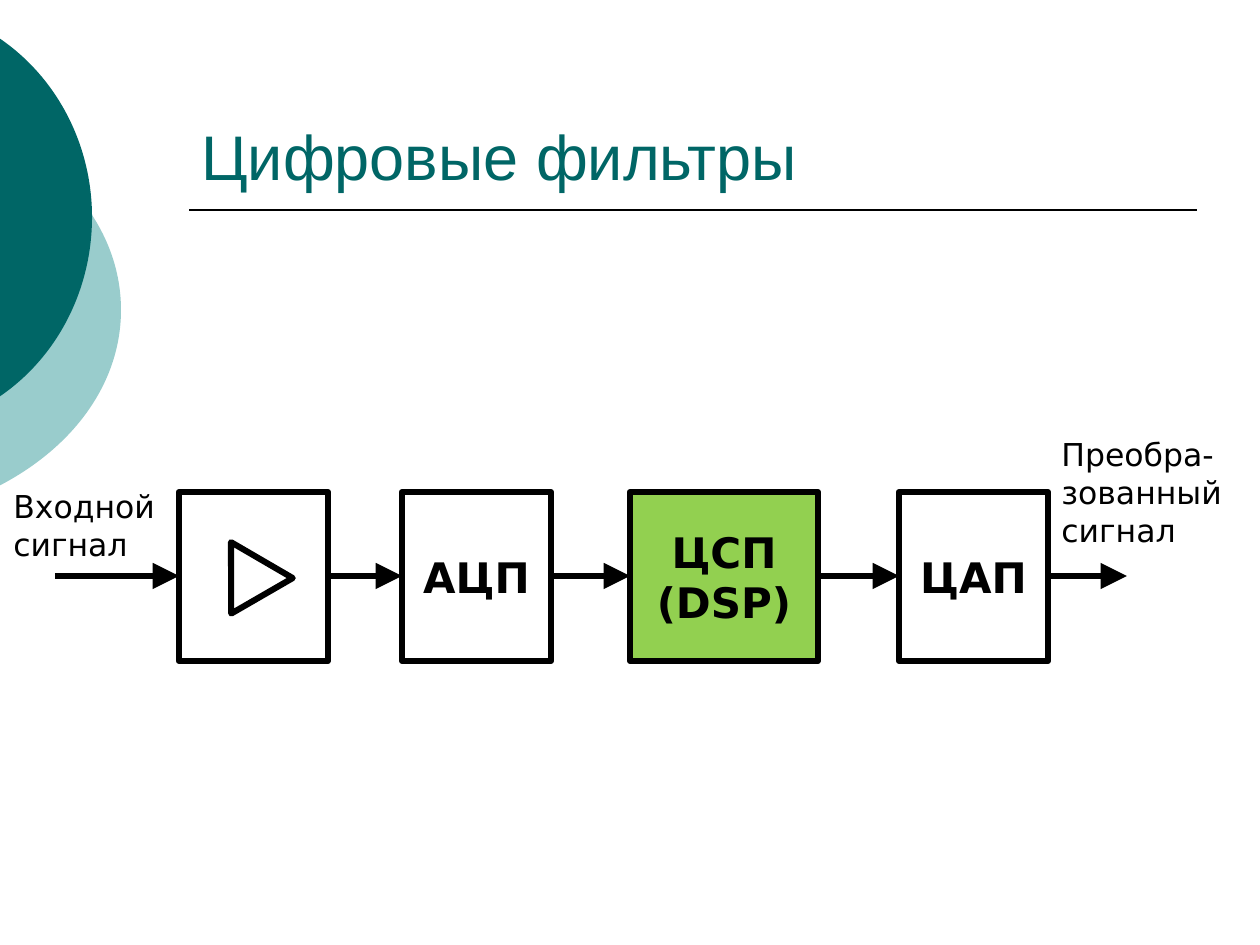
from dataclasses import dataclass
from itertools import pairwise

from lxml import etree
from pptx import Presentation
from pptx.dml.color import RGBColor
from pptx.enum.shapes import MSO_CONNECTOR, MSO_SHAPE
from pptx.enum.text import MSO_ANCHOR, PP_ALIGN
from pptx.oxml.ns import qn
from pptx.util import Emu, Pt

RECTANGLE = MSO_SHAPE.RECTANGLE
TRIANGLE = MSO_SHAPE.ISOSCELES_TRIANGLE
STRAIGHT = MSO_CONNECTOR.STRAIGHT
TOP, MIDDLE, BOTTOM = MSO_ANCHOR.TOP, MSO_ANCHOR.MIDDLE, MSO_ANCHOR.BOTTOM
LEFT, CENTER = PP_ALIGN.LEFT, PP_ALIGN.CENTER

EMU_PER_PX = 914400 / 126
COLORS = {"teal": "006666", "pale": "99CCCC", "green": "92D050", "black": "000000"}
BLOCK_TOP, BLOCK_HEIGHT, SIGNAL_Y = 492, 169, 576
INPUT_X, OUTPUT_X = 55, 1127


@dataclass
class Disc:
    color: str
    left: int
    top: int
    width: int
    height: int
    arc: list[tuple[int, int]]


@dataclass
class Block:
    left: int
    width: int
    text: str = ""
    fill: str = ""


@dataclass
class Label:
    left: int
    top: int
    width: int
    height: int
    text: str
    size: int
    font: str
    color: str = "black"
    anchor: MSO_ANCHOR = TOP


DISCS = [
    Disc("pale", -446, 94, 567, 431,
         [(-1, 134), (76, 174), (121, 239), (121, 310),
          (121, 381), (76, 446), (-1, 486)]),
    Disc("teal", -334, 0, 426, 435,
         [(-1, 38), (58, 78), (92, 146), (92, 217),
          (92, 289), (58, 357), (-1, 397)]),
]
BLOCKS = [
    Block(179, 149),
    Block(402, 149, "АЦП"),
    Block(630, 188, "ЦСП\n(DSP)", "green"),
    Block(899, 149, "ЦАП"),
]
LABELS = [
    Label(189, 42, 1008, 157, "Цифровые фильтры", 36, "Arial", "teal", BOTTOM),
    Label(1, 481, 178, 89, "Входной сигнал", 18, "DejaVu Sans"),
    Label(1049, 429, 210, 127, "Преобра-\vзованный сигнал", 18, "DejaVu Sans"),
]


def px(length: float) -> Emu:
    return Emu(round(length * EMU_PER_PX))


def rgb(name: str) -> RGBColor:
    return RGBColor.from_string(COLORS[name])


def draw_disc(page, disc: Disc) -> None:
    builder = page.shapes.build_freeform(disc.left, disc.top, scale=EMU_PER_PX)
    right, bottom = disc.left + disc.width, disc.top + disc.height
    builder.add_line_segments([(right, disc.top), (right, bottom)], close=True)
    shape = builder.convert_to_shape()
    outline = next(shape._element.iter(qn("a:path")))
    outline.clear()
    outline.set("w", str(disc.width))
    outline.set("h", str(disc.height))
    segments = [("a:moveTo", disc.arc[:1]), ("a:cubicBezTo", disc.arc[1:4]),
                ("a:cubicBezTo", disc.arc[4:]), ("a:close", [])]
    for tag, points in segments:
        segment = etree.SubElement(outline, qn(tag))
        for x, y in points:
            etree.SubElement(segment, qn("a:pt"), x=str(x - disc.left), y=str(y - disc.top))
    shape.shadow.inherit = False
    shape.fill.solid()
    shape.fill.fore_color.rgb = rgb(disc.color)
    shape.line.fill.background()


def write_text(frame, text: str, size: int, font: str, color: str,
               bold: bool, align: PP_ALIGN, anchor: MSO_ANCHOR) -> None:
    frame.word_wrap = True
    frame.vertical_anchor = anchor
    frame.text = text
    for paragraph in frame.paragraphs:
        paragraph.alignment = align
        paragraph.font.size = Pt(size)
        paragraph.font.name = font
        paragraph.font.bold = bold
        paragraph.font.color.rgb = rgb(color)


def draw_label(page, label: Label) -> None:
    box = page.shapes.add_textbox(px(label.left), px(label.top),
                                  px(label.width), px(label.height))
    write_text(box.text_frame, label.text, label.size, label.font, label.color,
               False, LEFT, label.anchor)


def draw_outline(page, kind: MSO_SHAPE, left: int, top: int, width: int, height: int):
    shape = page.shapes.add_shape(kind, px(left), px(top), px(width), px(height))
    shape.shadow.inherit = False
    shape.fill.background()
    shape.line.color.rgb = rgb("black")
    shape.line.width = Pt(3.5)
    etree.SubElement(shape.line._get_or_add_ln(), qn("a:round"))
    return shape


def draw_block(page, block: Block) -> None:
    shape = draw_outline(page, RECTANGLE, block.left, BLOCK_TOP, block.width, BLOCK_HEIGHT)
    if block.fill:
        shape.fill.solid()
        shape.fill.fore_color.rgb = rgb(block.fill)
    if block.text:
        write_text(shape.text_frame, block.text, 24, "DejaVu Sans", "black",
                   True, CENTER, MIDDLE)


def draw_line(page, start: int, end: int, y: int, width: int, arrow: bool) -> None:
    line = page.shapes.add_connector(STRAIGHT, px(start), px(y), px(end), px(y))
    line.line.color.rgb = rgb("black")
    line.line.width = Pt(width)
    if arrow:
        etree.SubElement(line.line._get_or_add_ln(), qn("a:tailEnd"),
                         type="triangle", w="lg", len="lg")
    etree.SubElement(line._element.spPr, qn("a:effectLst"))


def main() -> None:
    deck = Presentation()
    deck.slide_width, deck.slide_height = px(1260), px(945)
    page = deck.slides.add_slide(deck.slide_layouts[6])
    for disc in DISCS:
        draw_disc(page, disc)
    draw_line(page, 189, 1197, 210, 1, False)
    for label in LABELS:
        draw_label(page, label)
    for block in BLOCKS:
        draw_block(page, block)
    amplifier = draw_outline(page, TRIANGLE, 211, 538, 71, 62)
    amplifier.rotation = 330
    stops = [INPUT_X]
    for block in BLOCKS:
        stops += [block.left, block.left + block.width]
    stops.append(OUTPUT_X)
    for start, end in list(pairwise(stops))[::2]:
        draw_line(page, start, end, SIGNAL_Y, 3, True)
    deck.save("out.pptx")


if __name__ == "__main__":
    main()
